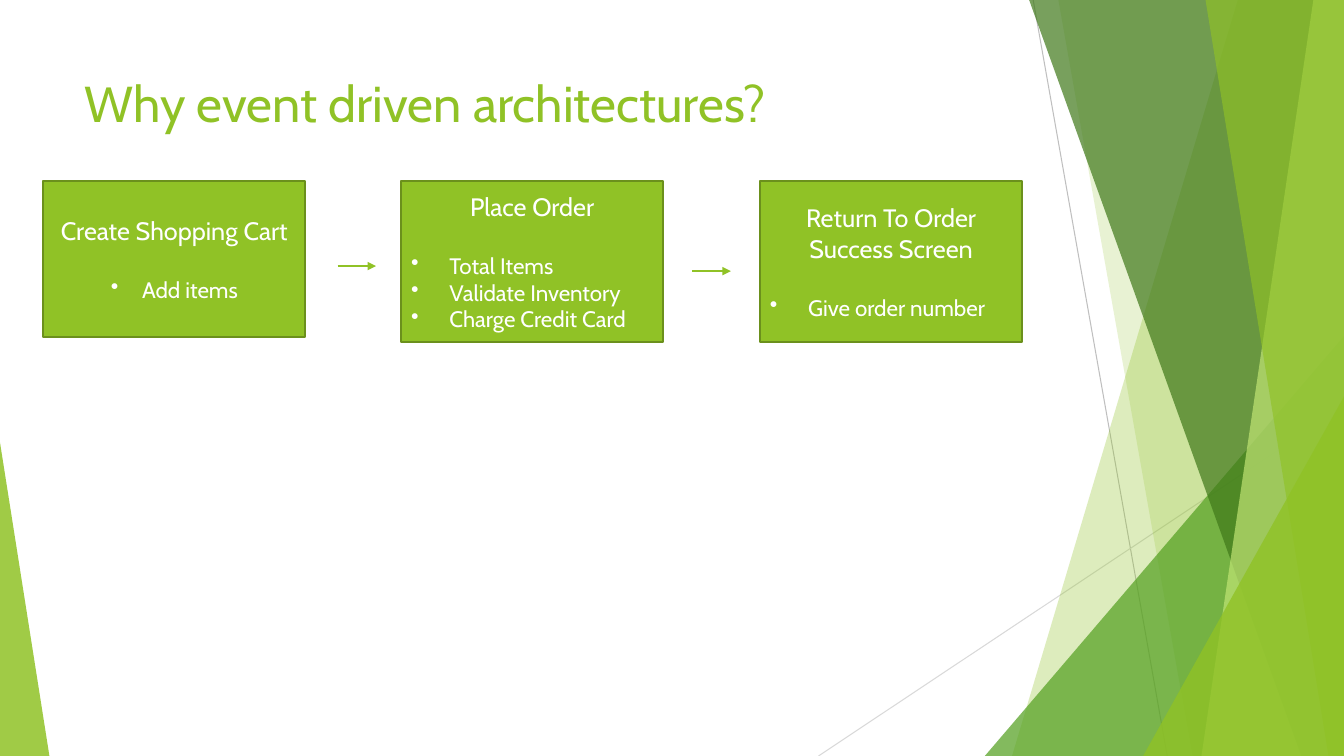
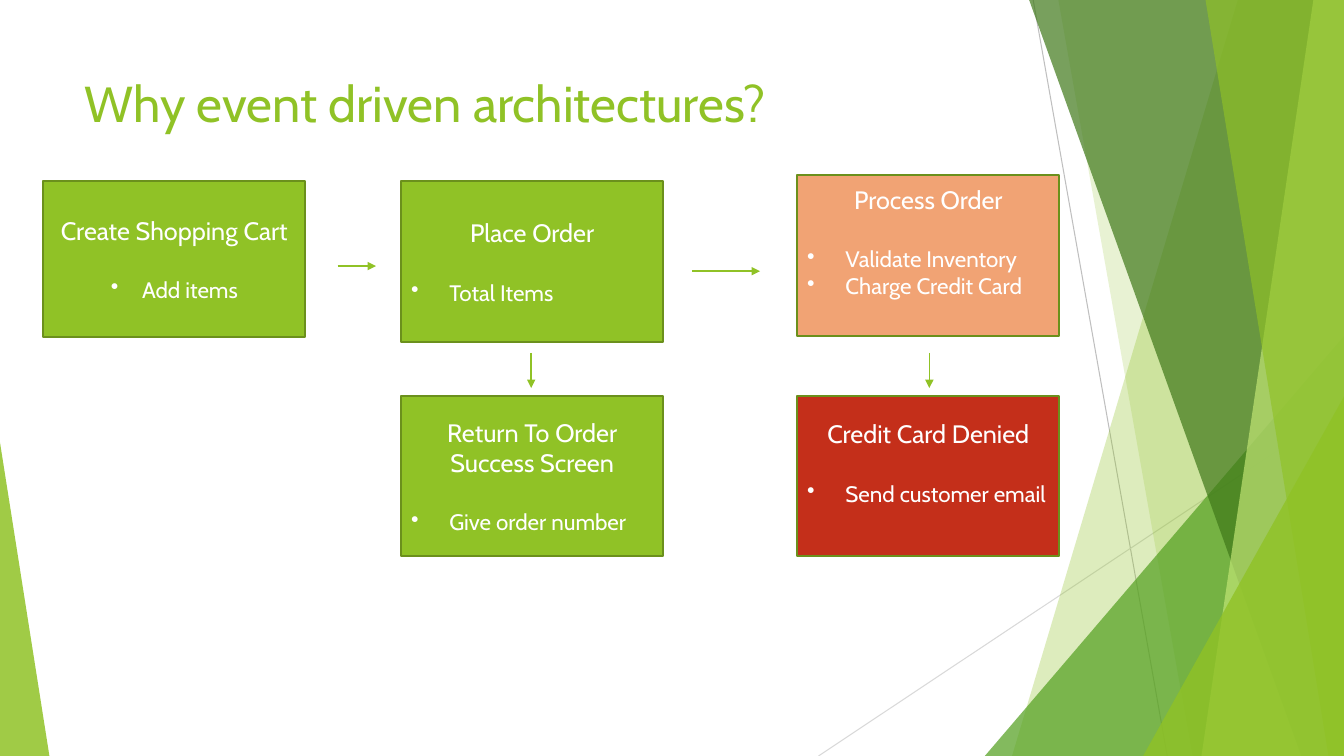
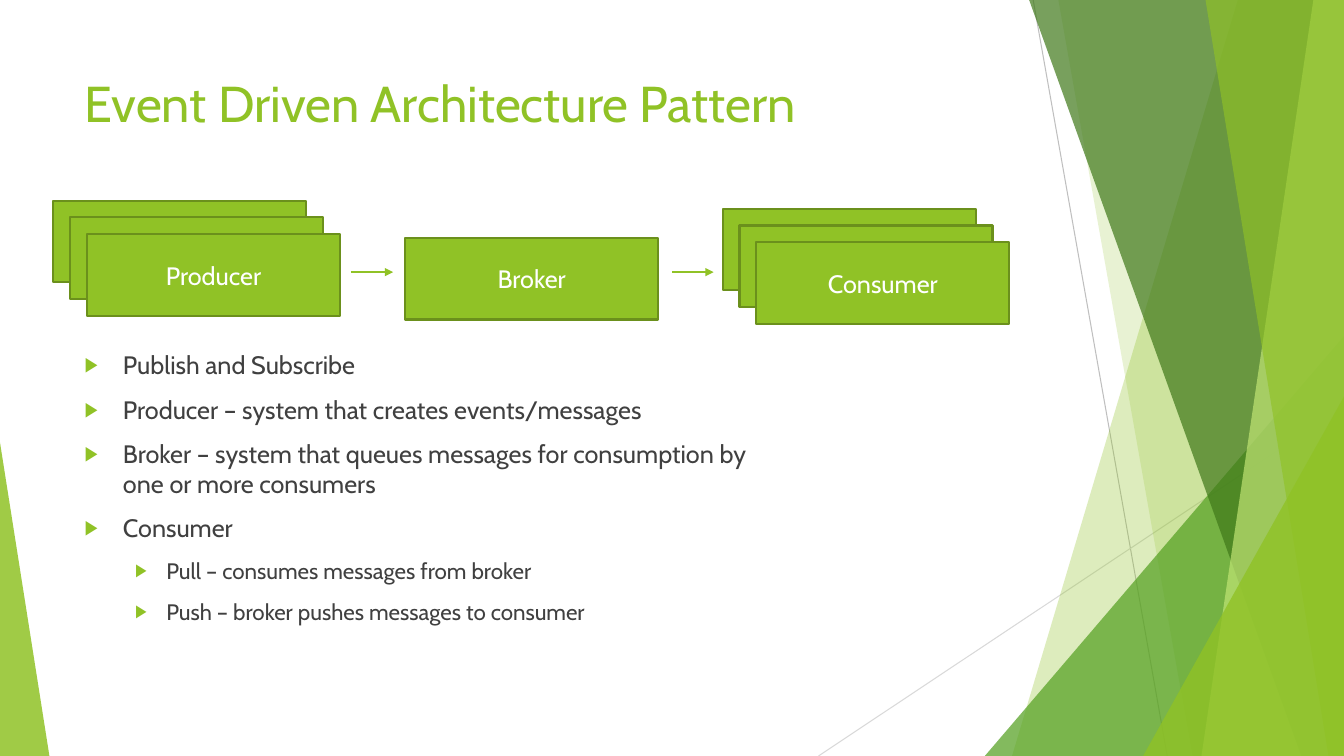
from dataclasses import dataclass, field
from typing import Union

from lxml.etree import SubElement
from pptx import Presentation
from pptx.dml.color import RGBColor
from pptx.enum.shapes import MSO_CONNECTOR, MSO_SHAPE
from pptx.enum.text import MSO_ANCHOR, MSO_AUTO_SIZE, PP_ALIGN
from pptx.oxml.ns import qn
from pptx.util import Emu, Inches, Pt

SLIDE_WIDTH, SLIDE_HEIGHT = Emu(12192000), Inches(7.5)
COLUMNS, ROWS = 80, 45


@dataclass(frozen=True)
class Theme:
    font: str = "Cabin"
    green: str = "90C226"
    leaf: str = "54A021"
    forest: str = "3F7819"
    lime: str = "C0E474"
    outline: str = "6B901C"
    orange: str = "F1A374"
    red: str = "C42F1A"
    white: str = "FFFFFF"
    text: str = "404040"
    dark_rule: str = "BFBFBF"
    light_rule: str = "D9D9D9"
    title_size: float = 36
    heading_size: float = 18
    detail_size: float = 16
    heading_gap: float = 21.9
    list_gap: float = 10
    rule_width: float = 0.75
    arrow_width: float = 1
    outline_width: float = 1.5


THEME = Theme()


@dataclass(frozen=True)
class Area:
    column: float
    row: float
    columns: float
    rows: float

    def emu(self) -> tuple[Emu, Emu, Emu, Emu]:
        return across(self.column), down(self.row), across(self.columns), down(self.rows)


@dataclass(frozen=True)
class Rule:
    start: tuple[float, float]
    end: tuple[float, float]
    color: str = THEME.green
    width: float = THEME.arrow_width
    arrow: bool = True


@dataclass(frozen=True)
class Band:
    top_column: float
    bottom_column: float
    color: str
    opacity: int


@dataclass(frozen=True)
class Wedge:
    area: Area
    apex: float
    color: str
    opacity: int


@dataclass(frozen=True)
class Card:
    area: Area
    heading: str = ""
    details: tuple[str, ...] = ()
    fill: str = THEME.green
    centered: bool = False
    foot: float = 3.6


@dataclass(frozen=True)
class ListLine:
    text: str
    level: int = 0


@dataclass(frozen=True)
class SlidePlan:
    title: str
    cards: list[Card]
    arrows: list[Rule]
    lines: list[ListLine] = field(default_factory=list)


def across(columns: float) -> Emu:
    return Emu(round(SLIDE_WIDTH * columns / COLUMNS))


def down(rows: float) -> Emu:
    return Emu(round(SLIDE_HEIGHT * rows / ROWS))


def rgb(color: str) -> RGBColor:
    return RGBColor.from_string(color)


def paint(shape, color: str, opacity: int = 100) -> None:
    shape.shadow.inherit = False
    shape.fill.solid()
    shape.fill.fore_color.rgb = rgb(color)
    if opacity < 100:
        tint = shape.element.spPr.find(qn("a:solidFill"))[0]
        SubElement(tint, qn("a:alpha"), val=str(opacity * 1000))


def style(paragraph, size: float, color: str) -> None:
    for run in paragraph.runs:
        run.font.name = THEME.font
        run.font.size = Pt(size)
        run.font.color.rgb = rgb(color)


def add_bullet(paragraph, symbol: str, left: float, hang: float, color: str, percent: int = 100) -> None:
    properties = paragraph._p.get_or_add_pPr()
    properties.set("marL", str(Inches(left)))
    properties.set("indent", str(-Inches(hang)))
    bullet_color = SubElement(properties, qn("a:buClr"))
    SubElement(bullet_color, qn("a:srgbClr"), val=color)
    SubElement(properties, qn("a:buSzPct"), val=str(percent * 1000))
    SubElement(properties, qn("a:buChar"), char=symbol)


def draw_rule(shapes, rule: Rule) -> None:
    (x1, y1), (x2, y2) = rule.start, rule.end
    connector = shapes.add_connector(MSO_CONNECTOR.STRAIGHT, across(x1), down(y1), across(x2), down(y2))
    connector.line.color.rgb = rgb(rule.color)
    connector.line.width = Pt(rule.width)
    properties = connector.element.spPr
    if rule.arrow:
        SubElement(properties.find(qn("a:ln")), qn("a:tailEnd"), type="triangle")
    SubElement(properties, qn("a:effectLst"))


def draw_facet(shapes, facet: Union[Band, Wedge]) -> None:
    if isinstance(facet, Band):
        builder = shapes.build_freeform(across(facet.top_column), 0)
        corners = ((COLUMNS, 0), (COLUMNS, ROWS), (facet.bottom_column, ROWS))
        builder.add_line_segments([(across(x), down(y)) for x, y in corners], close=True)
        shape = builder.convert_to_shape()
    else:
        shape = shapes.add_shape(MSO_SHAPE.ISOSCELES_TRIANGLE, *facet.area.emu())
        shape.adjustments[0] = facet.apex
    paint(shape, facet.color, facet.opacity)
    shape.line.fill.background()


def draw_card(shapes, card: Card) -> None:
    shape = shapes.add_shape(MSO_SHAPE.RECTANGLE, *card.area.emu())
    paint(shape, card.fill)
    shape.line.color.rgb = rgb(THEME.outline)
    shape.line.width = Pt(THEME.outline_width)
    if not card.heading:
        return
    frame = shape.text_frame
    frame.margin_bottom = Pt(card.foot)
    frame.text = "\n".join((card.heading, *card.details))
    heading, *details = frame.paragraphs
    heading.alignment = PP_ALIGN.CENTER
    style(heading, THEME.heading_size, THEME.white)
    indent = 0.31 if card.centered else 0.38
    for position, detail in enumerate(details):
        detail.alignment = PP_ALIGN.CENTER if card.centered else PP_ALIGN.LEFT
        detail.space_before = Pt(0 if position else THEME.heading_gap)
        style(detail, THEME.detail_size, THEME.white)
        add_bullet(detail, "•", indent, indent, THEME.white)


def place(placeholder, area: Area, text: str):
    placeholder.left, placeholder.top, placeholder.width, placeholder.height = area.emu()
    frame = placeholder.text_frame
    frame.text = text
    frame.word_wrap = True
    frame.auto_size = MSO_AUTO_SIZE.NONE
    frame.vertical_anchor = MSO_ANCHOR.TOP
    return frame


def fill_list(placeholder, lines: list[ListLine]) -> None:
    frame = place(placeholder, LIST_AREA, "\n".join(line.text for line in lines))
    for paragraph, line in zip(frame.paragraphs, lines):
        paragraph.level = line.level
        paragraph.space_before = Pt(THEME.list_gap)
        size, left, hang = LIST_LEVELS[line.level]
        style(paragraph, size, THEME.text)
        add_bullet(paragraph, "▶", left, hang, THEME.green, 80)


def add_backdrop(presentation, slide) -> None:
    backdrop = slide.shapes.add_group_shape()
    for rule in BACKDROP_RULES:
        draw_rule(backdrop.shapes, rule)
    for facet in FACETS:
        draw_facet(backdrop.shapes, facet)
    for number, properties in enumerate(backdrop.element.xpath(".//p:cNvPr"), start=100):
        properties.set("id", str(number))
    presentation.slide_master.shapes.element.insert(2, backdrop.element)


def add_slide(presentation, plan: SlidePlan):
    layout = presentation.slide_layouts[1 if plan.lines else 5]
    slide = presentation.slides.add_slide(layout)
    title = place(slide.shapes.title, TITLE_AREA, plan.title).paragraphs[0]
    title.alignment = PP_ALIGN.LEFT
    style(title, THEME.title_size, THEME.green)
    for card in plan.cards:
        draw_card(slide.shapes, card)
    if plan.lines:
        fill_list(slide.placeholders[1], plan.lines)
    for arrow in plan.arrows:
        draw_rule(slide.shapes, arrow)
    return slide


def step_area(column: float, row: float, rows: float = 9.54) -> Area:
    return Area(column, row, 15.6, rows)


def success_card(column: float, row: float) -> Card:
    return Card(step_area(column, row), "Return To Order Success Screen", ("Give order number",))


def role_stack(column: float, row: float, role: str, count: int = 1) -> list[Card]:
    return [
        Card(Area(column + layer, row + layer, 15.06, 4.86), role if layer == count - 1 else "")
        for layer in range(count)
    ]


def arrow_right(start: float, end: float, row: float) -> Rule:
    return Rule((start, row), (end, row))


def arrow_down(column: float) -> Rule:
    return Rule((column, 21), (column, 23.1))


TITLE_AREA = Area(4.44, 4.02, 56.4, 8.64)
LIST_AREA = Area(4.44, 20.52, 41.4, 22.86)
LIST_LEVELS = ((THEME.heading_size, 0.38, 0.38), (THEME.detail_size, 0.81, 0.31))

BACKDROP_RULES = [
    Rule((61.5, 0), (69.48, ROWS), THEME.dark_rule, THEME.rule_width, False),
    Rule((COLUMNS, 24.18), (48.72, ROWS), THEME.light_rule, THEME.rule_width, False),
]
FACETS = [
    Band(73.68, 60.24, THEME.green, 30),
    Band(63, 70.98, THEME.green, 20),
    Wedge(Area(58.62, 20, 21.38, 25), 1, THEME.leaf, 72),
    Band(61.26, 77.46, THEME.forest, 70),
    Band(78.18, 71.52, THEME.lime, 70),
    Band(71.76, 79.08, THEME.green, 65),
    Wedge(Area(68.04, 23.6, 11.96, 21.4), 1, THEME.green, 80),
    Wedge(Area(0, 26.34, 2.94, 18.66), 0, THEME.green, 85),
]

WHY_TITLE = "Why event driven architectures?"
FIRST, SECOND, THIRD, BRANCH = 2.58, 23.88, 45.24, 47.46
TOP, LOWER = 10.8, 23.58
CART_CARD = Card(step_area(FIRST, TOP, 9.24), "Create Shopping Cart", ("Add items",), centered=True)
CART_ARROW = arrow_right(20.1, 22.38, 15.84)
PAYMENT_CHECKS = ("Validate Inventory", "Charge Credit Card")
BRANCH_FOOT = 23.1

PLANS = [
    SlidePlan(
        WHY_TITLE,
        [
            CART_CARD,
            Card(step_area(SECOND, TOP), "Place Order", ("Total Items", *PAYMENT_CHECKS)),
            success_card(THIRD, TOP),
        ],
        [CART_ARROW, arrow_right(41.22, 43.5, 16.14)],
    ),
    SlidePlan(
        WHY_TITLE,
        [
            CART_CARD,
            Card(step_area(SECOND, TOP), "Place Order", ("Total Items",)),
            success_card(SECOND, LOWER),
            Card(step_area(BRANCH, 10.44), "Process Order", PAYMENT_CHECKS, THEME.orange, foot=BRANCH_FOOT),
            Card(
                step_area(BRANCH, LOWER),
                "Credit Card Denied",
                ("Send customer email",),
                THEME.red,
                foot=BRANCH_FOOT,
            ),
        ],
        [CART_ARROW, arrow_right(41.22, 45.24, 16.14), arrow_down(55.32), arrow_down(31.62)],
    ),
    SlidePlan(
        "Event Driven Architecture Pattern",
        role_stack(3.18, 11.94, "Producer", 3)
        + role_stack(24.12, 14.16, "Broker")
        + role_stack(43.02, 12.42, "Consumer", 3),
        [arrow_right(20.88, 23.4, 16.2), arrow_right(40.02, 42.48, 16.2)],
        [
            ListLine("Publish and Subscribe"),
            ListLine("Producer – system that creates events/messages"),
            ListLine("Broker – system that queues messages for consumption by one or more consumers"),
            ListLine("Consumer"),
            ListLine("Pull – consumes messages from broker", 1),
            ListLine("Push – broker pushes messages to consumer", 1),
        ],
    ),
]


def main() -> None:
    presentation = Presentation()
    presentation.slide_width, presentation.slide_height = SLIDE_WIDTH, SLIDE_HEIGHT
    slides = [add_slide(presentation, plan) for plan in PLANS]
    add_backdrop(presentation, slides[0])
    presentation.save("out.pptx")


if __name__ == "__main__":
    main()
